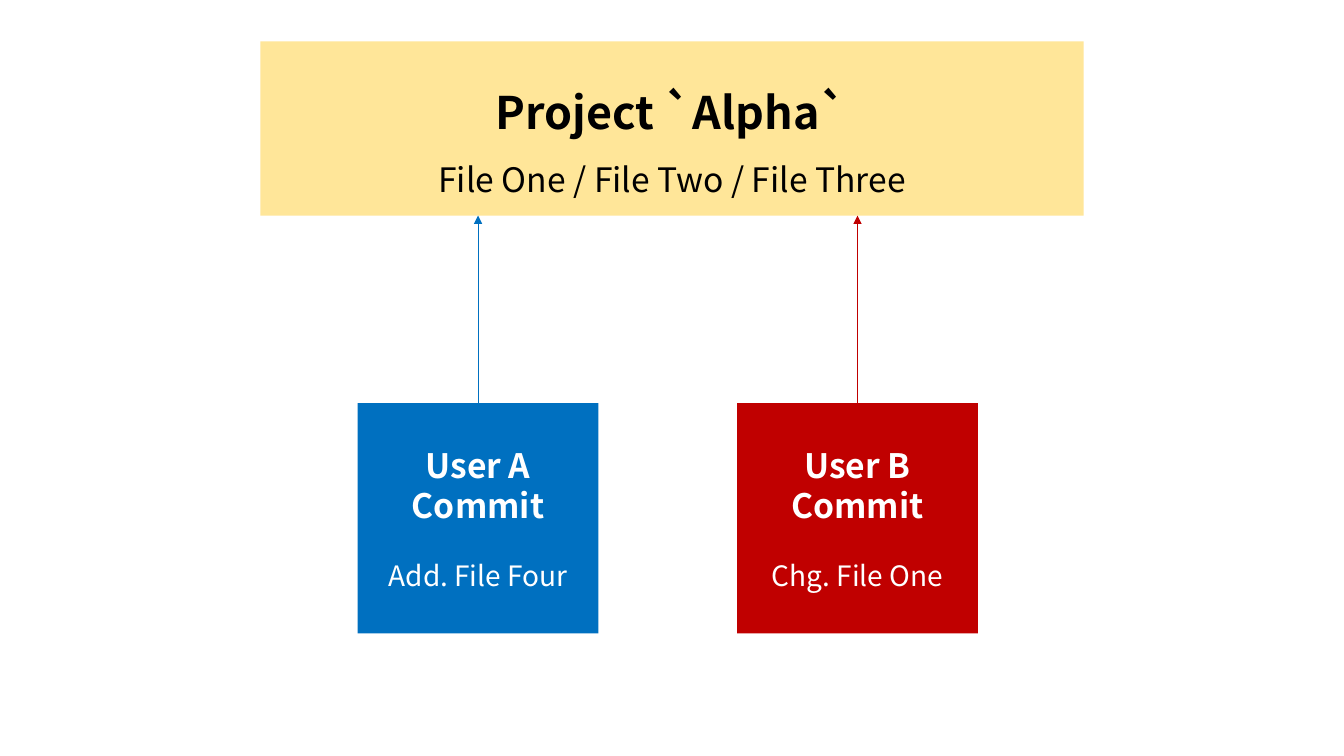
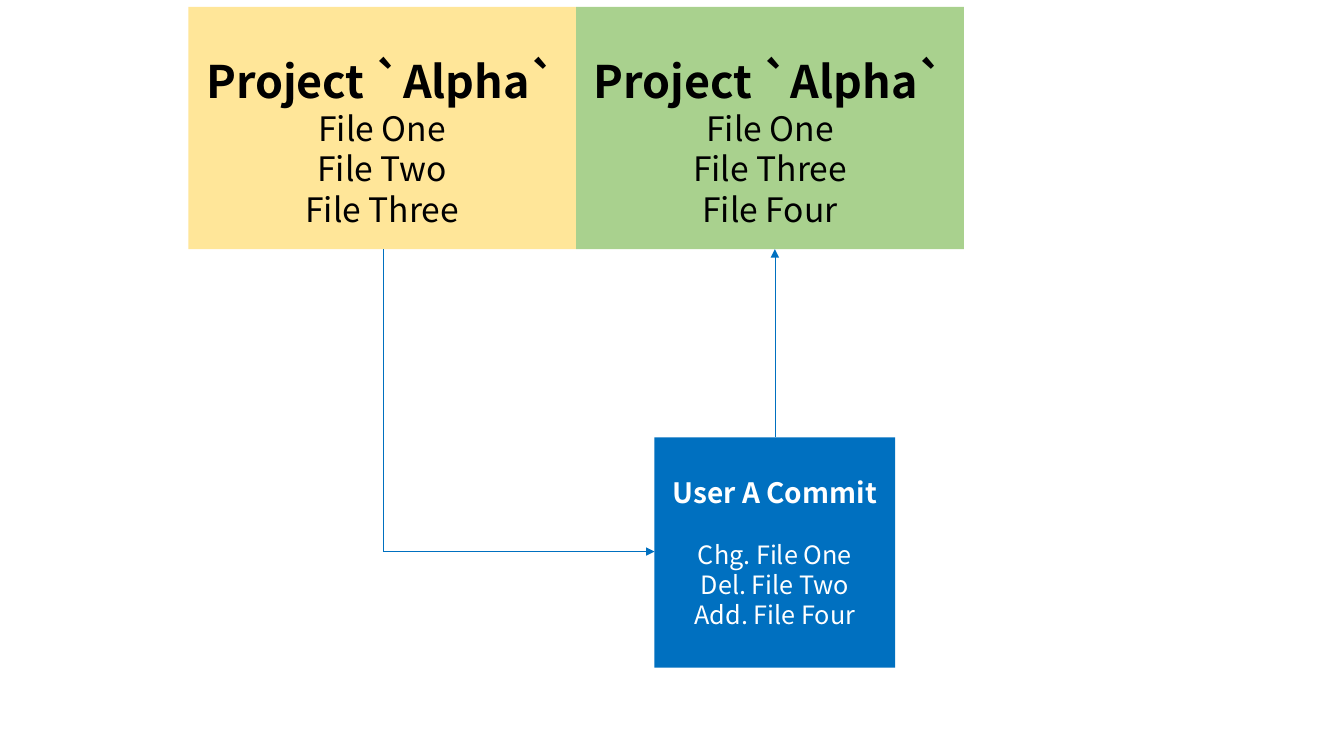
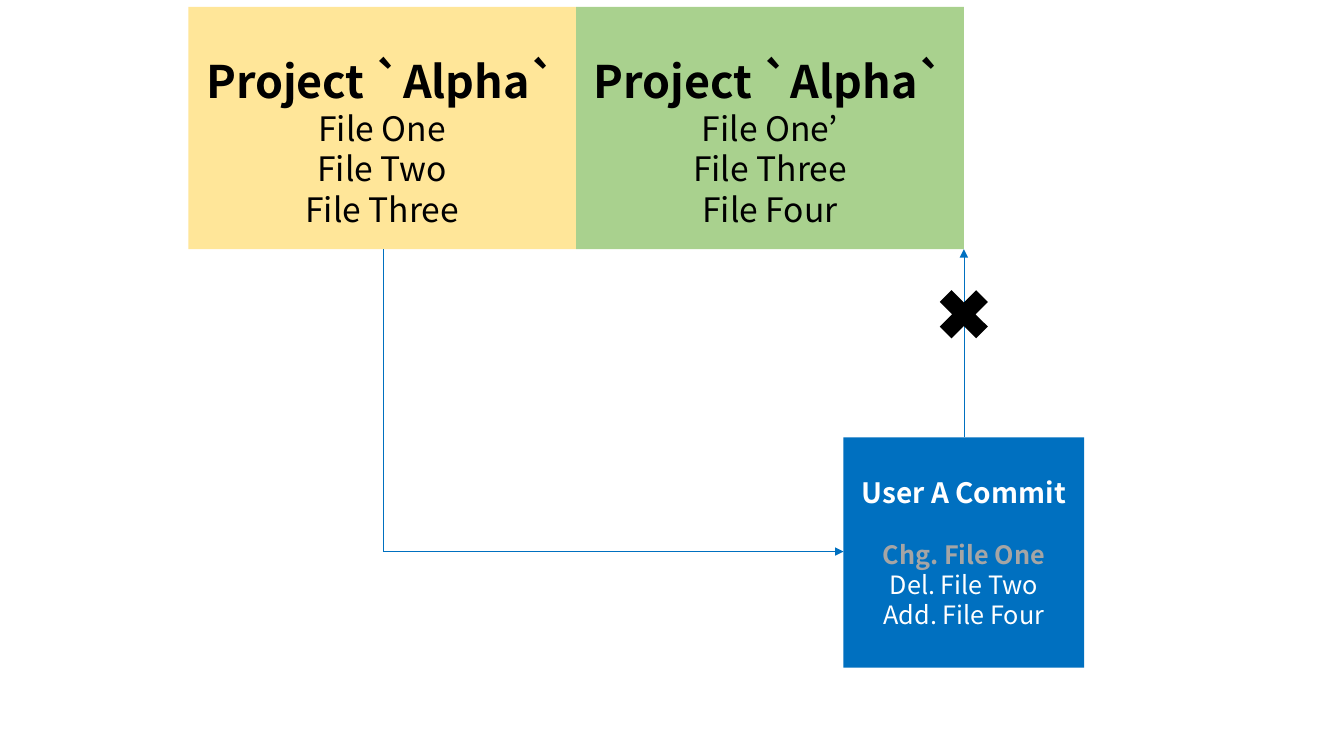
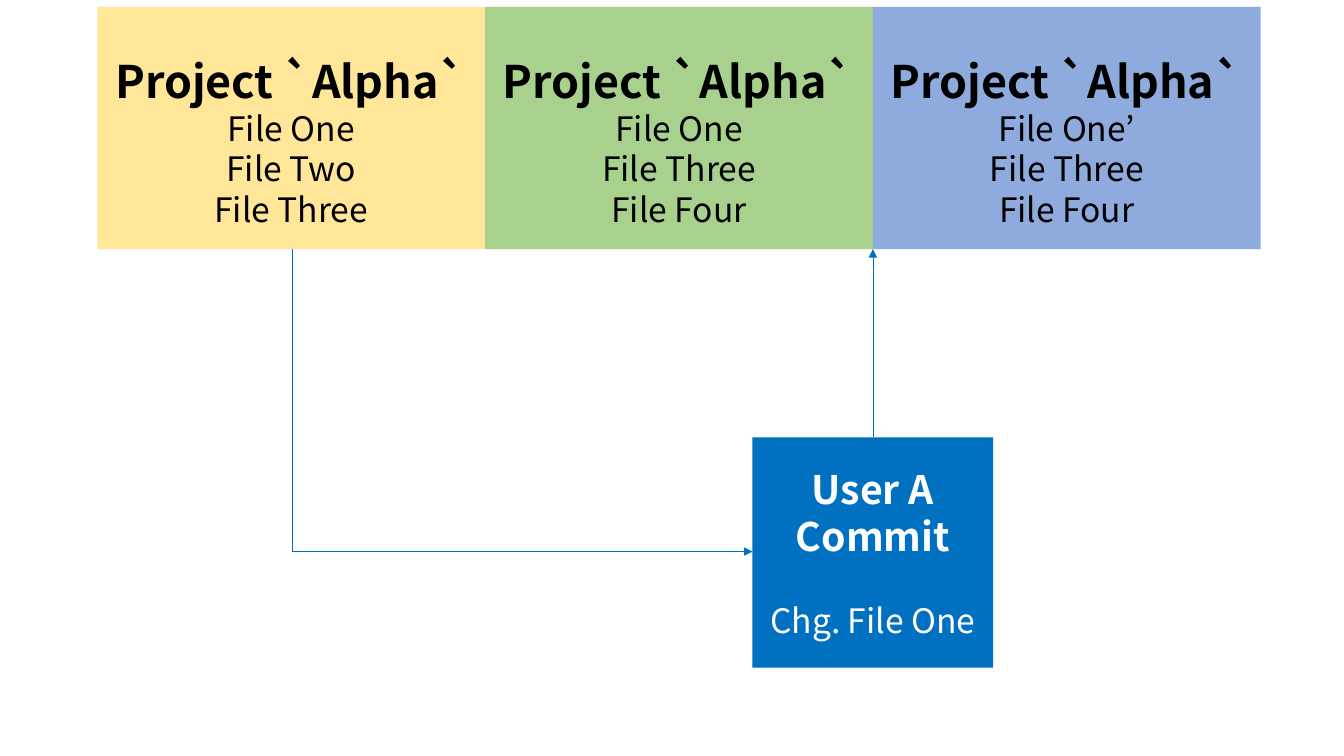
from pptx import Presentation
from pptx.dml.color import RGBColor
from pptx.enum import shapes, text
from pptx.oxml.ns import qn
from pptx.util import Pt
from lxml import etree

# Shared style
FONT = "Noto Sans CJK KR"
BLACK, WHITE, GREY = "000000", "FFFFFF", "A5A5A5"
YELLOW, GREEN, PERIWINKLE = "FFE699", "A9D18E", "8FAADC"
BLUE, RED = "0070C0", "C00000"
PROJECT = "Project `Alpha`"

# Shared geometry, in points
STATE_W, STATE_H, STATE_TOP = 277, 173, 5
COMMIT_W, COMMIT_H, COMMIT_TOP = 172, 164.5, 312.5
STATE_BOTTOM = STATE_TOP + STATE_H


def rgb(value):
    return RGBColor.from_string(value)


def add_block(s, x, y, w, h, fill, kind=shapes.MSO_SHAPE.RECTANGLE):
    """Add a plain filled shape and return its text frame."""
    sp = s.shapes.add_shape(kind, Pt(x), Pt(y), Pt(w), Pt(h))
    sp.shadow.inherit = False
    sp.fill.solid()
    sp.fill.fore_color.rgb = rgb(fill)
    sp.line.fill.background()
    tf = sp.text_frame
    tf.word_wrap = True
    tf.vertical_anchor = text.MSO_ANCHOR.MIDDLE
    return tf


def add_text(tf, words, size, color=BLACK, bold=False, spacing=None, before=0):
    """Write one centred paragraph, using the empty first one if it is free."""
    p = tf.paragraphs[0] if not tf.text else tf.add_paragraph()
    p.alignment = text.PP_ALIGN.CENTER
    p.space_before = Pt(before)
    if spacing:
        p.line_spacing = spacing
    r = p.add_run()
    r.text = words
    r.font.name = FONT
    r.font.size = Pt(size)
    r.font.bold = bold
    r.font.color.rgb = rgb(color)
    ea = etree.SubElement(r.font._element, qn("a:ea"))
    ea.set("typeface", FONT)


def add_line(s, x1, y1, x2, y2, color=BLUE, arrow=True):
    c = s.shapes.add_connector(shapes.MSO_CONNECTOR.STRAIGHT,
                               Pt(x1), Pt(y1), Pt(x2), Pt(y2))
    c.line.color.rgb = rgb(color)
    c.line.width = Pt(0.5)
    if arrow:
        etree.SubElement(c.line._get_or_add_ln(), qn("a:tailEnd")).set("type", "triangle")
    etree.SubElement(c._element.spPr, qn("a:effectLst"))


def add_commit(s, center, top, target, user, changes, size, head_size,
               fill=BLUE, conflict=None):
    """Add a commit box with an arrow up to the project; grey out a conflict."""
    add_line(s, center, top, center, target, fill)
    tf = add_block(s, center - COMMIT_W / 2, top, COMMIT_W, COMMIT_H, fill)
    add_text(tf, f"User {user} Commit", head_size, WHITE, bold=True)
    for i, change in enumerate(changes):
        clash = change == conflict
        add_text(tf, change, size, GREY if clash else WHITE, bold=clash,
                 before=0 if i else 1.2 * size)


def add_states(s, left, states):
    """Add project states side by side, each a fill and its files."""
    for i, (fill, files) in enumerate(states):
        tf = add_block(s, left + i * STATE_W, STATE_TOP, STATE_W, STATE_H, fill)
        add_text(tf, PROJECT, 32, bold=True, spacing=1.5)
        for name in files:
            add_text(tf, name, 24)


def add_history(s, left, center, states, changes, size, head_size, conflict=None):
    """Add the states, the commit and the elbow from the first state to it."""
    add_states(s, left, states)
    add_commit(s, center, COMMIT_TOP, STATE_BOTTOM, "A", changes, size, head_size,
               conflict=conflict)
    x, y = left + STATE_W / 2 + 0.5, COMMIT_TOP + COMMIT_H / 2 - 0.75
    add_line(s, x, y, center - COMMIT_W / 2, y)
    add_line(s, x, STATE_BOTTOM, x, y, arrow=False)


def main():
    prs = Presentation()
    prs.slide_width, prs.slide_height = Pt(960), Pt(540)
    s1, s2, s3, s4 = [prs.slides.add_slide(prs.slide_layouts[6]) for _ in range(4)]

    first = (YELLOW, ["File One", "File Two", "File Three"])
    second = (GREEN, ["File One", "File Three", "File Four"])
    edited = ["File One’", "File Three", "File Four"]
    changes = ["Chg. File One", "Del. File Two", "Add. File Four"]

    # Slide 1: two users commit to one project
    tf = add_block(s1, 186, 29.5, 588, 124.5, YELLOW)
    add_text(tf, PROJECT, 32, bold=True, spacing=1.5)
    add_text(tf, "File One / File Two / File Three", 24, spacing=1.5)
    add_commit(s1, 341.5, 288, 154, "A", ["Add. File Four"], 20, 24)
    add_commit(s1, 612.5, 288, 154, "B", ["Chg. File One"], 20, 24, fill=RED)

    # Slide 2: a commit makes the second state
    add_history(s2, 134.5, 553.5, [first, second], changes, 18, 20)

    # Slide 3: the commit conflicts with the edited state
    left = 134.5
    center = left + 2 * STATE_W
    add_history(s3, left, center, [first, (GREEN, edited)], changes, 18, 20,
                conflict="Chg. File One")
    add_block(s3, center - 25, 199.5, 50, 50, BLACK, shapes.MSO_SHAPE.MATH_MULTIPLY)

    # Slide 4: the remaining change makes a third state
    left = 69.5
    add_history(s4, left, left + 2 * STATE_W, [first, second, (PERIWINKLE, edited)],
                ["Chg. File One"], 24, 28)

    prs.save("out.pptx")


if __name__ == "__main__":
    main()
